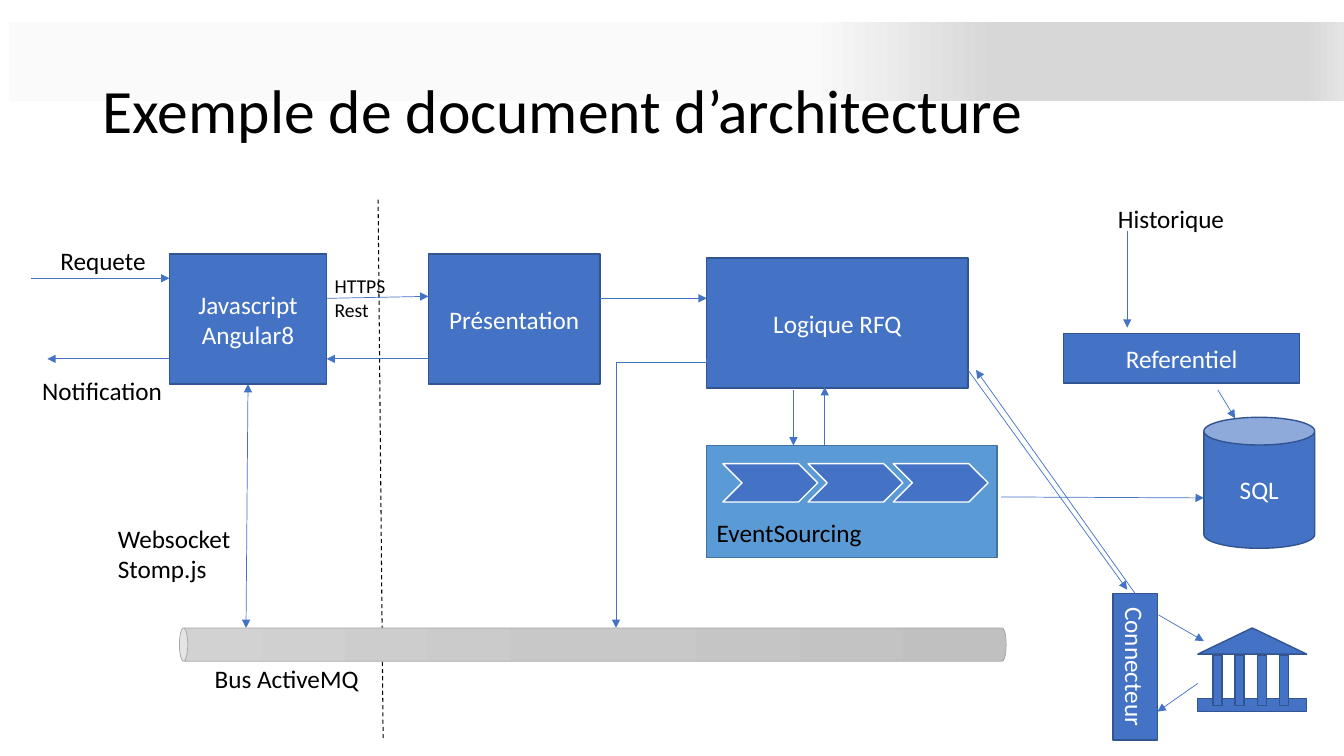
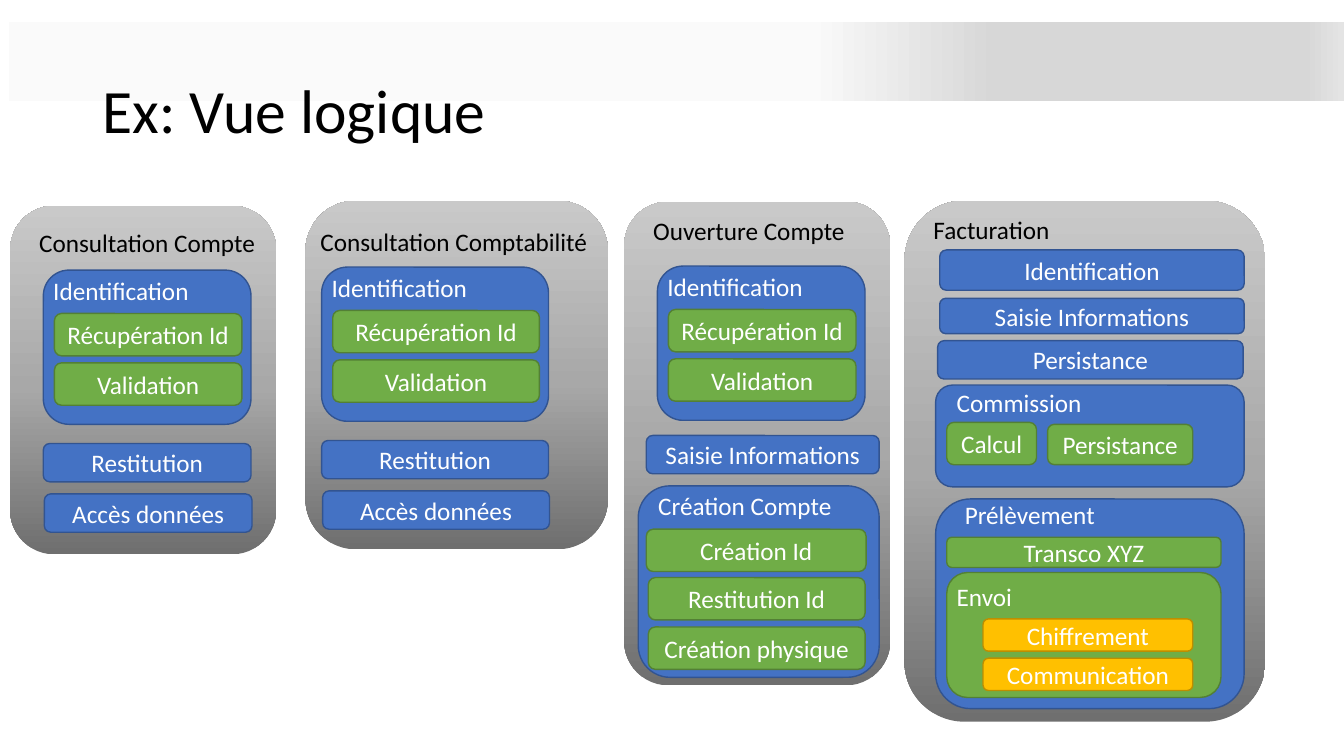
import dataclasses

import lxml.etree
import pptx
import pptx.dml.color
import pptx.enum.dml
import pptx.enum.shapes
import pptx.enum.text
import pptx.oxml.ns
import pptx.util

Inches = pptx.util.Inches
SHAPES = pptx.enum.shapes.MSO_SHAPE
CONNECTORS = pptx.enum.shapes.MSO_CONNECTOR
ALIGN = pptx.enum.text.PP_ALIGN
ANCHOR = pptx.enum.text.MSO_ANCHOR
qn = pptx.oxml.ns.qn

FONT = "Calibri"
COLOURS = {
    "black": "000000", "white": "FFFFFF",
    "blue": "4472C4", "blue edge": "325491",
    "sky": "5B9BD5", "sky edge": "43739E",
    "green": "70AD47", "green edge": "538035",
    "gold": "FFC000", "gold edge": "BD8E00",
    "pipe edge": "A5A5A5",
}
# Gradient stops as (percent, colour)
BAND_STOPS = [(60, "FAFAFA"), (74, "D7D7D7"), (97, "D7D7D7"), (100, "E4E4E4")]
PIPE_STOPS = [(0, "D2D2D2"), (50, "C8C8C8"), (100, "C0C0C0")]
COLUMN_STOPS = [(0, "6F6F6F"), (48, "A8A8A8"), (100, "C9C9C9")]


def rgb(name):
    return pptx.dml.color.RGBColor.from_string(COLOURS[name])


def write(text_frame, text, size=18, colour="black", align=ALIGN.LEFT):
    text_frame.text = text
    for paragraph in text_frame.paragraphs:
        paragraph.alignment = align
        for run in paragraph.runs:
            run.font.name = FONT
            run.font.size = pptx.util.Pt(size)
            run.font.color.rgb = rgb(colour)


def fill_gradient(shape, stops, angle):
    """Fill with a linear gradient; the angle runs counter-clockwise."""
    shape.fill.gradient()
    shape.fill.gradient_angle = angle
    stop_list = shape.element.spPr.find(qn("a:gradFill")).find(qn("a:gsLst"))
    for stop in list(stop_list):
        stop_list.remove(stop)
    for percent, colour in stops:
        stop = lxml.etree.SubElement(stop_list, qn("a:gs"), pos=str(percent * 1000))
        lxml.etree.SubElement(stop, qn("a:srgbClr"), val=colour)


@dataclasses.dataclass
class Region:
    """A part of a slide; lengths are inches from its top left corner."""
    shapes: object
    left: float = 0
    top: float = 0

    def at(self, left, top):
        return Region(self.shapes, self.left + left, self.top + top)

    def group(self):
        return Region(self.shapes.add_group_shape().shapes, self.left, self.top)

    def point(self, x, y):
        return Inches(self.left + x), Inches(self.top + y)

    def shape(self, kind, left, top, width, height):
        shape = self.shapes.add_shape(
            kind, *self.point(left, top), Inches(width), Inches(height))
        shape.shadow.inherit = False
        return shape

    def block(self, text, left, top, width, height,
              colour="blue", kind=SHAPES.RECTANGLE, edge=None):
        shape = self.shape(kind, left, top, width, height)
        shape.fill.solid()
        shape.fill.fore_color.rgb = rgb(colour)
        shape.line.color.rgb = rgb(edge or colour + " edge")
        shape.line.width = pptx.util.Pt(1)
        if text:
            shape.text_frame.vertical_anchor = ANCHOR.MIDDLE
            write(shape.text_frame, text, colour="white", align=ALIGN.CENTER)
        return shape

    def rounded(self, text, left, top, width, height, colour="blue"):
        return self.block(text, left, top, width, height, colour,
                          SHAPES.ROUNDED_RECTANGLE)

    def gradient(self, kind, left, top, width, height, stops, angle):
        shape = self.shape(kind, left, top, width, height)
        fill_gradient(shape, stops, angle)
        shape.line.fill.background()
        return shape

    def label(self, text, left, top, width, height=0.4,
              size=18, colour="black", wrap=False):
        box = self.shapes.add_textbox(
            *self.point(left, top), Inches(width), Inches(height))
        box.text_frame.word_wrap = wrap
        box.text_frame.auto_size = pptx.enum.text.MSO_AUTO_SIZE.SHAPE_TO_FIT_TEXT
        write(box.text_frame, text, size, colour)

    def line(self, x1, y1, x2, y2, colour="blue", width=0.5, heads=("tailEnd",),
             kind=CONNECTORS.STRAIGHT):
        connector = self.shapes.add_connector(
            kind, *self.point(x1, y1), *self.point(x2, y2))
        connector.line.color.rgb = rgb(colour)
        connector.line.width = pptx.util.Pt(width)
        properties = connector.element.spPr
        for head in heads:
            lxml.etree.SubElement(properties.find(qn("a:ln")), qn("a:" + head),
                                  type="triangle")
        lxml.etree.SubElement(properties, qn("a:effectLst"))
        return connector

    def down_elbow(self, x1, y1, x2, y2, bend):
        """Arrow going sideways first, then down: a level elbow turned by 90°."""
        width, height = y2 - y1, x1 - x2
        x, y = (x1 + x2 - width) / 2, (y1 + y2 - height) / 2
        connector = self.line(x, y, x + width, y + height, kind=CONNECTORS.ELBOW)
        connector.rotation = 90
        adjustments = connector.element.spPr.find(qn("a:prstGeom")).find(qn("a:avLst"))
        lxml.etree.SubElement(adjustments, qn("a:gd"), name="adj1",
                              fmla=f"val {round(bend * 100000)}")


# Shared frame

def add_band(presentation, slide):
    """Put the grey band on the layout, behind everything."""
    band = Region(slide.shapes).gradient(
        SHAPES.RECTANGLE, 0.09, 0.22, 13.24, 0.78, BAND_STOPS, 0)
    band.element.nvSpPr.cNvPr.set("id", "20")
    presentation.slide_layouts[5].shapes.element.insert(2, band.element)


def add_slide(presentation, title_text):
    slide = presentation.slides.add_slide(presentation.slide_layouts[5])
    title = slide.shapes.title
    title.left, title.top = Inches(0.92), Inches(0.4)
    title.width, title.height = Inches(11.5), Inches(1.45)
    title.text_frame.vertical_anchor = ANCHOR.MIDDLE
    write(title.text_frame, title_text, 44)
    title.text_frame.paragraphs[0].line_spacing = 0.9
    return slide


# Architecture slide

def draw_bus(region):
    border = region.line(1.97, -4.25, 2.02, 1.11, "black", 0.75, heads=())
    border.line.dash_style = pptx.enum.dml.MSO_LINE.DASH
    length, thickness = 8.2, 0.33
    pipe = region.gradient(SHAPES.CAN, (length - thickness) / 2,
                           (thickness - length) / 2, thickness, length,
                           PIPE_STOPS, 270)
    pipe.rotation = 270
    pipe.line.color.rgb = rgb("pipe edge")
    pipe.line.width = pptx.util.Pt(0.5)
    region.label("Bus ActiveMQ", 0.25, 0.3, 1.65)


def draw_client(region):
    browser = region.block("Javascript\nAngular8", 0, 0, 1.56, 1.29)
    websocket = region.line(0.78, 1.29, 0.76, 3.71, heads=("headEnd", "tailEnd"))
    websocket.begin_connect(browser, 2)
    region.label("Websocket\nStomp.js", -0.61, 2.62, 1.33, 0.71)
    region.line(-1.37, 0.24, 0, 0.24)
    region.label("Requete", -1.18, -0.14, 1.06)
    region.line(0, 1.04, -1.21, 1.04)
    region.label("Notification", -1.36, 1.15, 1.41)


def draw_presentation_tier(region):
    region.block("Présentation", 0, 0, 1.7, 1.29)
    region.line(-1.01, 0.44, 0, 0.42)
    region.line(0, 1.04, -1.01, 1.04)
    region.label("HTTPS\nRest", -1.03, 0.15, 1.09, 0.57, size=14, wrap=True)
    region.line(1.7, 0.44, 2.76, 0.44)


def draw_logic(region):
    region.block("Logique RFQ", 0, 0, 2.59, 1.29)
    region.down_elbow(0, 1, -0.9, 3.67, 0.014)
    # Event store with its chain of events
    region.block("", 0, 1.86, 2.88, 1.11, "sky")
    events = region.group()
    for index in range(3):
        events.block("", 0.16 + 0.845 * index, 2.04, 0.94, 0.38,
                     kind=SHAPES.CHEVRON, edge="white")
    region.label("EventSourcing", 0, 2.52, 1.65)
    region.line(0.86, 1.31, 0.86, 1.86)
    region.line(1.17, 1.86, 1.17, 1.28)
    region.line(2.92, 2.37, 4.93, 2.38)


def draw_storage(region):
    region.block("Referentiel", 0, 0, 2.34, 0.49)
    region.block("SQL", 1.39, 0.83, 1.1, 1.3, kind=SHAPES.CAN)
    region.line(1.53, 0.56, 1.7, 0.84)
    region.line(0.63, -1.02, 0.63, -0.06)
    region.label("Historique", 0.44, -1.34, 1.27)


def draw_bank(region):
    region = region.group()
    region.block("", 0, 0, 1.08, 0.26, kind=SHAPES.ISOSCELES_TRIANGLE)
    region.block("", 0, 0.7, 1.08, 0.13)
    for index in range(4):
        region.block("", 0.15 + 0.22 * index, 0.27, 0.09, 0.5)


def draw_connector_tier(region):
    connector_box = region.block("Connecteur", 0, 0, 0.44, 1.45)
    connector_box.element.txBody.find(qn("a:bodyPr")).set("vert", "vert")
    draw_bank(region.at(0.84, 0.34))
    region.line(0.45, 0.21, 0.9, 0.47)
    region.line(0.84, 0.89, 0.44, 1.17)
    region.line(-1.44, -2.22, 0.14, -0.04)
    reply = region.line(0.22, 0, -1.36, -2.22)
    reply.begin_connect(connector_box, 0)


def draw_architecture(slide):
    page = Region(slide.shapes)
    draw_bus(page.at(1.78, 6.23))
    draw_client(page.at(1.68, 2.52))
    draw_presentation_tier(page.at(4.25, 2.52))
    draw_logic(page.at(7.01, 2.56))
    draw_storage(page.at(10.55, 3.31))
    draw_connector_tier(page.at(11.04, 5.89))


# Logical view slide

def draw_column(region, width, height, title, title_left, title_top, title_width):
    region.gradient(SHAPES.ROUNDED_RECTANGLE, 0, 0, width, height, COLUMN_STOPS, 90)
    region.label(title, title_left, title_top, title_width)


def draw_panel(region, width, height, title, title_left, title_top, title_width,
               colour="blue"):
    region.rounded("", 0, 0, width, height, colour)
    region.label(title, title_left, title_top, title_width, colour="white")


def draw_identification(region, width):
    draw_panel(region, width, 1.53, "Identification", 0, 0, 1.56)
    for index, text in enumerate(["Récupération Id", "Validation"]):
        region.rounded(text, 0.11, 0.43 + 0.49 * index, width - 0.2, 0.42, "green")


def draw_consultation(region, width):
    draw_identification(region, width)
    region.rounded("Restitution", 0, 1.72, width, 0.38)
    region.rounded("Accès données", 0.01, 2.22, width, 0.38)


def draw_opening(region):
    draw_column(region, 2.64, 4.8, "Ouverture Compte", 0.19, 0.09, 2.12)
    draw_identification(region.at(0.33, 0.64), 2.06)
    region.rounded("Saisie Informations", 0.22, 2.32, 2.31, 0.38)
    creation = region.at(0.14, 2.82)
    draw_panel(creation, 2.39, 1.9, "Création Compte", 0.1, 0, 1.94)
    creation.rounded("Création Id", 0.08, 0.43, 2.18, 0.42, "green")
    creation.rounded("Restitution Id", 0.1, 0.91, 2.15, 0.42, "green")
    creation.rounded("Création physique", 0.1, 1.4, 2.15, 0.42, "green")


def draw_billing(region):
    draw_column(region, 3.58, 5.17, "Facturation", 0.19, 0.09, 1.37)
    region.rounded("Identification", 0.35, 0.49, 3.02, 0.4)
    region.rounded("Saisie Informations", 0.35, 0.97, 3.02, 0.35)
    region.rounded("Persistance", 0.33, 1.39, 3.03, 0.38)

    commission = region.at(0.31, 1.83)
    draw_panel(commission, 3.06, 1.01, "Commission", 0.11, -0.03, 1.45)
    commission.rounded("Calcul", 0.11, 0.37, 0.89, 0.42, "green")
    commission.rounded("Persistance", 1.11, 0.39, 1.44, 0.4, "green")

    debit = region.at(0.31, 2.96)
    draw_panel(debit, 3.06, 2.08, "Prélèvement", 0.19, -0.05, 1.51)
    debit.rounded("Transco XYZ", 0.11, 0.38, 2.72, 0.3, "green")
    sending = debit.at(0.11, 0.73)
    draw_panel(sending, 2.72, 1.24, "Envoi", 0, 0.04, 0.76, "green")
    for index, text in enumerate(["Chiffrement", "Communication"]):
        sending.rounded(text, 0.36, 0.46 + 0.39 * index, 2.08, 0.32, "gold")


def draw_logical_view(slide):
    page = Region(slide.shapes)
    account = page.at(0.1, 2.04)
    draw_column(account, 2.64, 3.46, "Consultation Compte", 0.19, 0.17, 2.37)
    draw_consultation(account.at(0.33, 0.64), 2.06)
    accounting = page.at(3.03, 1.99)
    draw_column(accounting, 3, 3.46, "Consultation Comptabilité", 0.05, 0.21, 2.87)
    draw_consultation(accounting.at(0.16, 0.66), 2.25)
    draw_opening(page.at(6.19, 2))
    draw_billing(page.at(8.97, 1.99))


def main():
    presentation = pptx.Presentation()
    presentation.slide_width, presentation.slide_height = Inches(13.33), Inches(7.5)
    architecture = add_slide(presentation, "Exemple de document d’architecture")
    add_band(presentation, architecture)
    draw_architecture(architecture)
    draw_logical_view(add_slide(presentation, "Ex: Vue logique"))
    presentation.save("out.pptx")


if __name__ == "__main__":
    main()
